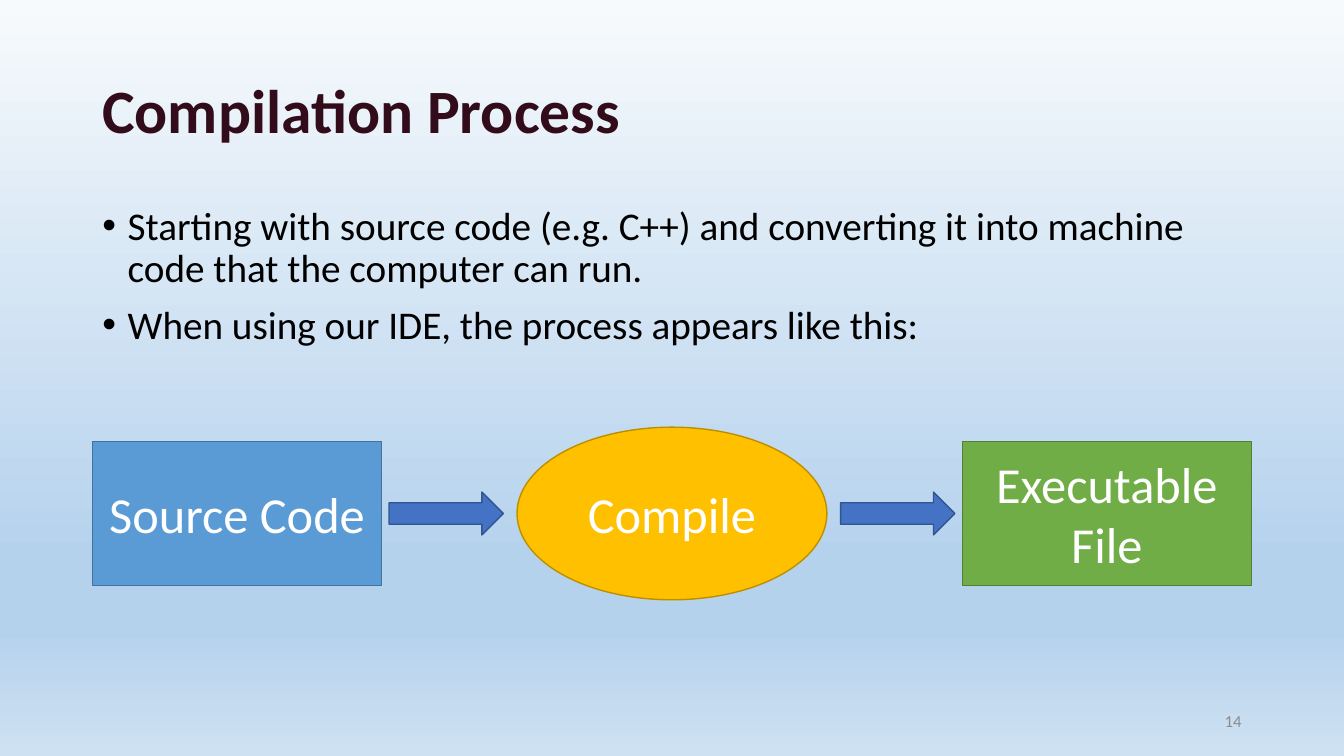
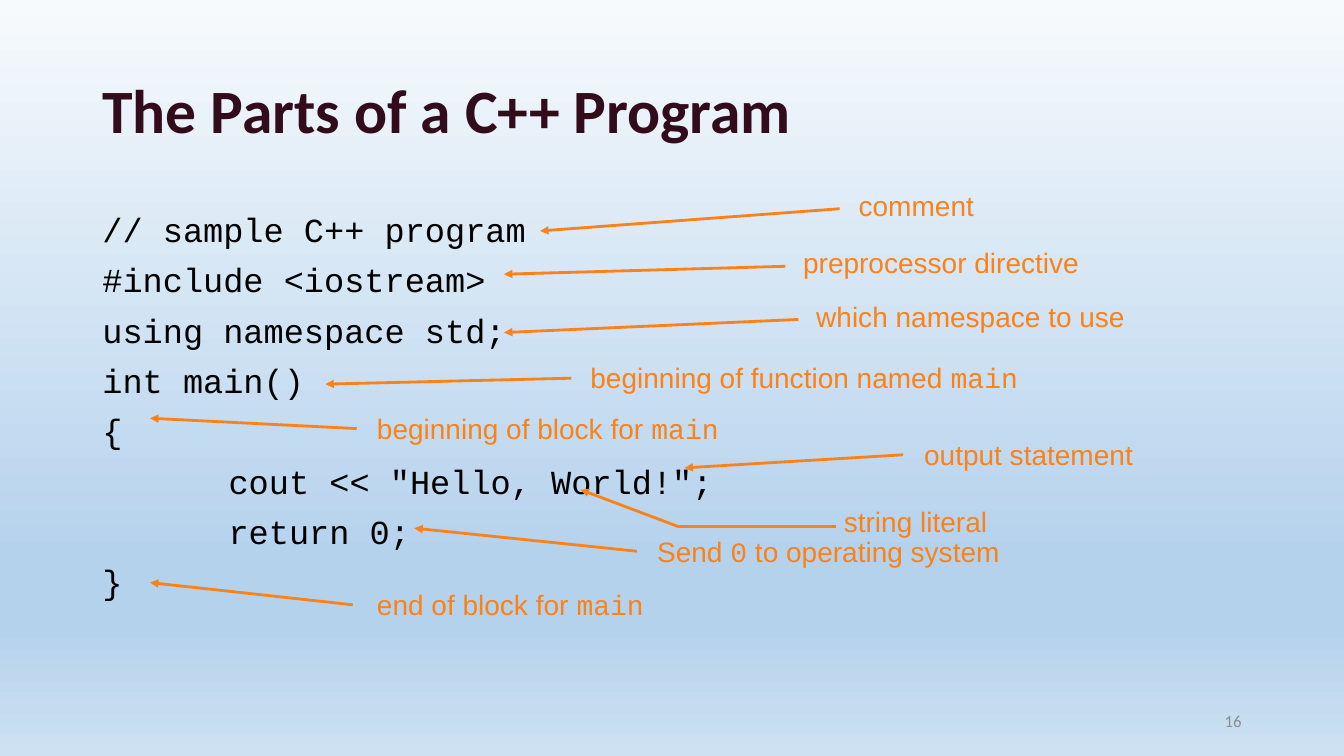
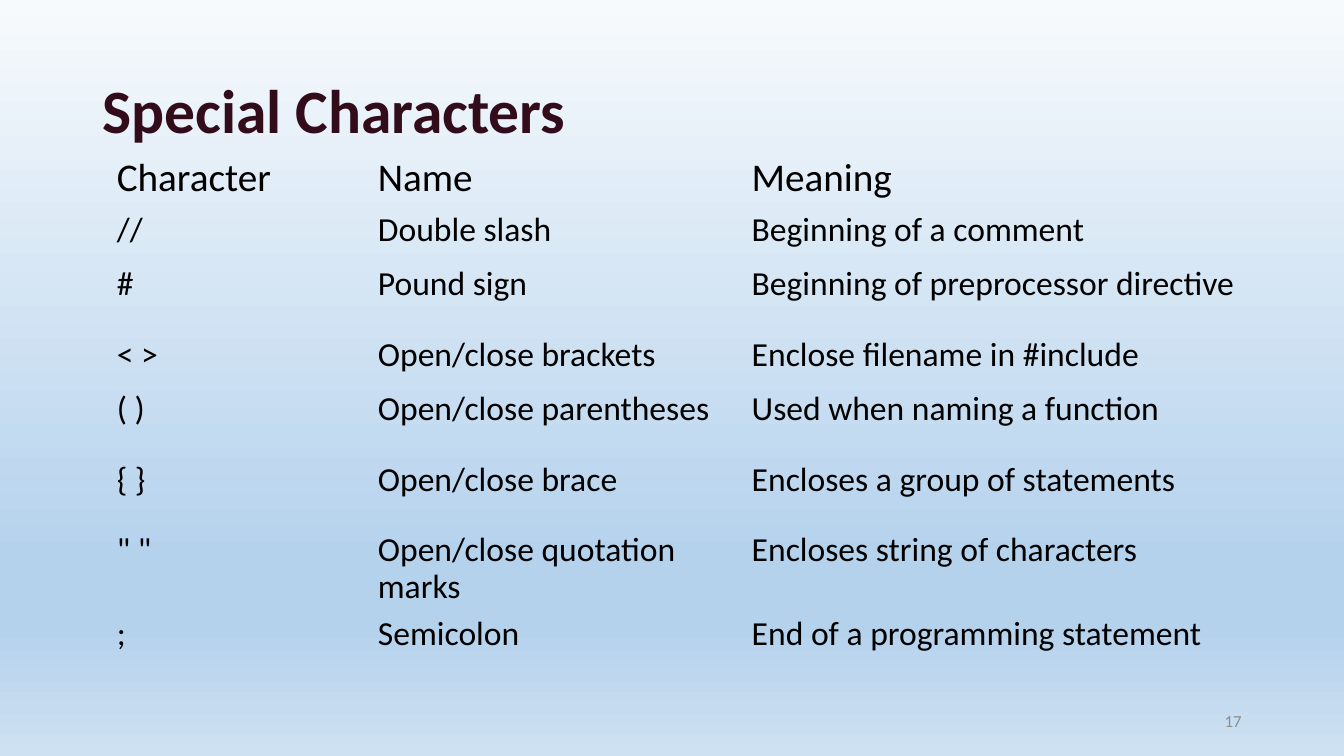
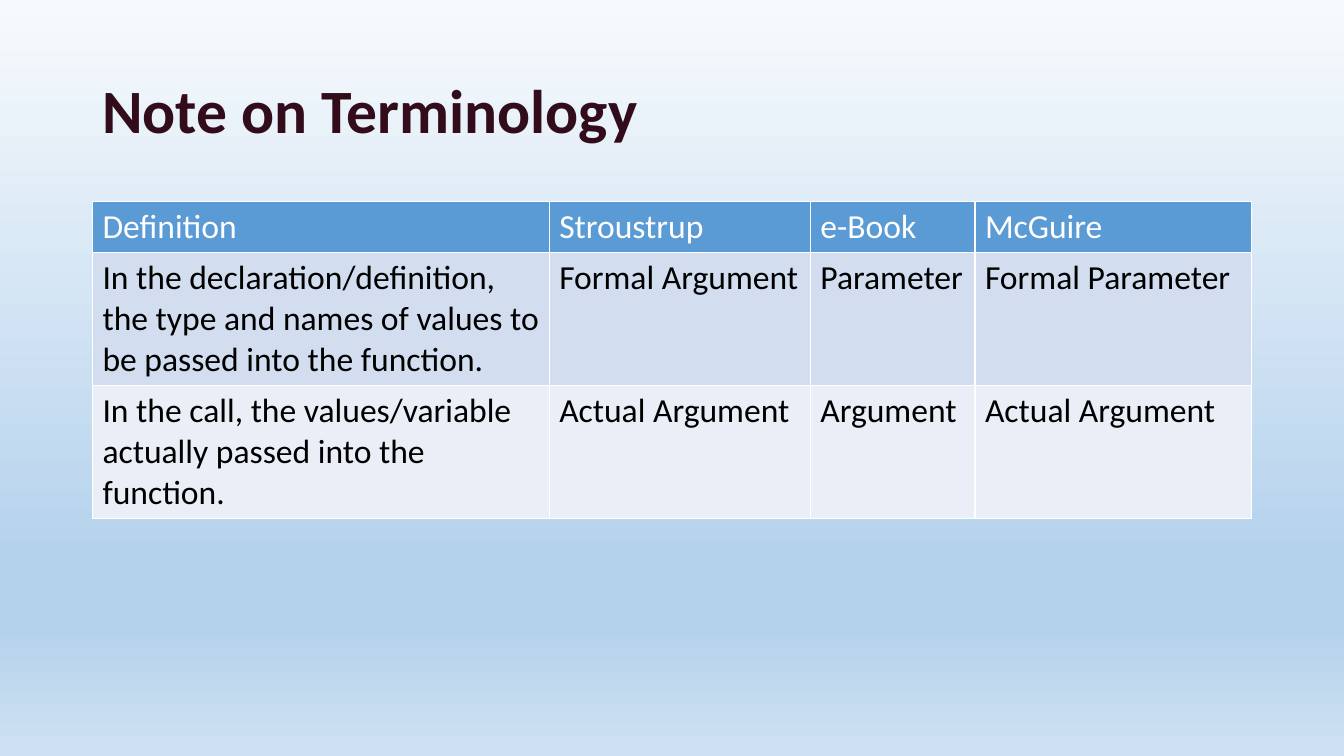
from itertools import pairwise

from lxml import etree
from pptx import Presentation
from pptx import util as u
from pptx.dml.color import RGBColor
from pptx.enum import shapes, text
from pptx.oxml.ns import qn

# ---- Content ----
COMPILATION = {
    "title": "Compilation Process",
    "number": "14",
    "bullets": [
        "Starting with source code (e.g. C++) and converting it into machine code that the computer can run.",
        "When using our IDE, the process appears like this:",
    ],
    # shape, label, colour, distance from slide centre, width, height
    "flow": [
        ("RECTANGLE", "Source Code", "blue", -10.96, 7.29, 3.64),
        ("RIGHT_ARROW", "", "arrow", -5.69, 2.88, 1.08),
        ("OVAL", "Compile", "gold", 0, 7.81, 4.35),
        ("RIGHT_ARROW", "", "arrow", 5.69, 2.88, 1.08),
        ("RECTANGLE", "Executable File", "green", 10.96, 7.29, 3.64),
    ],
}
PROGRAM = {
    "title": "The Parts of a C++ Program",
    "number": "16",
    # code line, indent
    "code": [
        ("// sample C++ program", 0),
        ("#include <iostream>", 0),
        ("using namespace std;", 0),
        ("int main()", 0),
        ("{", 0),
        ('cout << "Hello, World!";', 3.18),
        ("return 0;", 3.18),
        ("}", 0),
    ],
    # label (code between backticks), left, top, width, points from label to code
    "labels": [
        ("comment", 21.39, 4.62, 5.08, [(21.16, 5.26), (13.61, 5.82)]),
        ("preprocessor directive", 19.99, 6.07, 7.95, [(19.79, 6.71), (12.7, 6.91)]),
        ("which namespace to use", 20.32, 7.42, 8.69, [(20.12, 8.05), (12.7, 8.38)]),
        ("beginning of function named `main`", 14.63, 8.97, 11.63, [(14.4, 9.53), (8.2, 9.68)]),
        ("beginning of block for `main`", 9.25, 10.24, 11.63, [(8.99, 10.8), (3.78, 10.54)]),
        ("output statement", 23.04, 10.9, 8, [(22.76, 11.46), (17.25, 11.79)]),
        ("Send `0` to operating system", 16.31, 13.34, 11.63, [(16.05, 13.89), (10.44, 13.31)]),
        ("end of block for `main`", 9.25, 14.68, 7.26, [(8.89, 15.24), (3.78, 14.68)]),
    ],
    "literal": ("string literal", 20.88, 12.83, 4.39, [(21.08, 13.26), (17.07, 13.26), (14.63, 12.34)]),
}
CHARACTERS = {
    "title": "Special Characters",
    "number": "17",
    "rows": [
        ("Character", "Name", "Meaning"),
        ("//", "Double slash", "Beginning of a comment"),
        ("#", "Pound sign", "Beginning of preprocessor directive"),
        ("< >", "Open/close brackets", "Enclose filename in #include"),
        ("( )", "Open/close parentheses", "Used when naming a function"),
        ("{ }", "Open/close brace", "Encloses a group of statements"),
        ('" "', "Open/close quotation marks", "Encloses string of characters"),
        (";", "Semicolon", "End of a programming statement"),
    ],
    "widths": [6.58, 9.42, 12.85],
    "heights": [1.37, 1.37, 1.78, 1.37, 1.78, 1.78, 2.11, 1.78],
}
TERMINOLOGY = {
    "title": "Note on Terminology",
    "rows": [
        ("Definition", "Stroustrup", "e-Book", "McGuire"),
        ("In the declaration/definition, the type and names of values to be passed into the function.",
         "Formal Argument", "Parameter", "Formal Parameter"),
        ("In the call, the values/variable actually passed into the function.",
         "Actual Argument", "Argument", "Actual Argument"),
    ],
    "widths": [11.51, 6.58, 4.15, 6.97],
    "heights": [1.29, 3.35, 3.35],
    "fills": ["blue", "band", "pale"],
}

# ---- Shared look ----
COLOURS = {
    "title": "320C1A", "text": "000000", "white": "FFFFFF", "number": "8C8C8C", "label": "FA8218",
    "blue": "5B9BD5", "blue edge": "43739E", "green": "70AD47", "green edge": "538035",
    "gold": "FFC000", "gold edge": "BD8E00", "arrow": "4472C4", "arrow edge": "325491",
    "band": "D2DEEF", "pale": "EAEFF7",
}
BACKDROP = [(0, "F7FAFD"), (74, "B5D2EC"), (83, "B5D2EC"), (100, "CEE1F2")]
WIDTH, HEIGHT = 33.87, 19.05
LEFT, CONTENT = 2.33, 29.21
FLOW_Y = 12.94
NO_STYLE = "{2D5ABB26-0587-4C30-8999-92F81FD0307C}"

TITLE = {"size": 44, "color": "title", "bold": True}
BULLET = {"size": 28}
CODE = {"size": 24, "name": "Courier New"}
LABEL = {"size": 20, "name": "Arial", "color": "label"}
NUMBER = {"size": 12, "color": "number"}
FLOW = {"size": 36, "color": "white"}
CELL = {"size": 24}
BODY = {"line_spacing": 0.9, "space_before": u.Pt(10)}


def rgb(name):
    return RGBColor.from_string(COLOURS[name])


def cm(*lengths):
    return [u.Cm(length) for length in lengths]


def add_run(paragraph, words, style):
    run = paragraph.add_run()
    run.text = words
    look = {"name": "Calibri", "color": "text", "bold": False} | style
    run.font.color.rgb = rgb(look.pop("color"))
    look["size"] = u.Pt(look["size"])
    for key, value in look.items():
        setattr(run.font, key, value)


def write(paragraph, words, style, **layout):
    """Fill a paragraph; parts between backticks are set as code."""
    for key, value in layout.items():
        setattr(paragraph, key, value)
    for i, part in enumerate(words.split("`")):
        if part:
            add_run(paragraph, part, style | {"name": "Courier New"} if i % 2 else style)


def add_box(slide, left, top, width, height, anchor="TOP"):
    frame = slide.shapes.add_textbox(*cm(left, top, width, height)).text_frame
    frame.word_wrap = True
    frame.vertical_anchor = text.MSO_ANCHOR[anchor]
    return frame


def next_paragraph(frame, index):
    return frame.add_paragraph() if index else frame.paragraphs[0]


def set_indent(paragraph, margin, first=0):
    props = paragraph._p.get_or_add_pPr()
    props.set("marL", str(u.Cm(margin)))
    props.set("indent", str(u.Cm(first)))
    return props


def paint_backdrop(master):
    fill = master.background.fill
    fill.gradient()
    fill.gradient_angle = 270
    stops = master.element.find(".//" + qn("a:gsLst"))
    for stop in list(stops):
        stops.remove(stop)
    for percent, colour in BACKDROP:
        stop = etree.SubElement(stops, qn("a:gs"), pos=str(percent * 1000))
        etree.SubElement(stop, qn("a:srgbClr"), val=colour)


def add_slide(prs, content):
    slide = prs.slides.add_slide(prs.slide_layouts[6])
    title = add_box(slide, LEFT, 1.01, CONTENT, 3.68, "MIDDLE")
    write(title.paragraphs[0], content["title"], TITLE, line_spacing=0.9)
    if "number" in content:
        number = add_box(slide, LEFT + CONTENT - 7.62, 17.65, 7.62, 1.01, "MIDDLE")
        write(number.paragraphs[0], content["number"], NUMBER, alignment=text.PP_ALIGN.RIGHT)
    return slide


def add_pointer(slide, points):
    """Join the points by lines, with an arrowhead at the last one."""
    for start, end in pairwise(points):
        line = slide.shapes.add_connector(shapes.MSO_CONNECTOR.STRAIGHT, *cm(*start, *end))
        line.line.color.rgb = rgb("label")
        line.line.width = u.Pt(2)
        etree.SubElement(line._element.spPr, qn("a:effectLst"))
        if end == points[-1]:
            etree.SubElement(line.line._get_or_add_ln(), qn("a:tailEnd"), type="triangle")


def add_label(slide, words, left, top, width, points, height=1.11, **layout):
    add_pointer(slide, points)
    frame = add_box(slide, left, top, width, height)
    frame.auto_size = text.MSO_AUTO_SIZE.SHAPE_TO_FIT_TEXT
    write(frame.paragraphs[0], words, LABEL, **layout)


def add_borders(cell):
    props = cell._tc.get_or_add_tcPr()
    for side in "LRTB":
        edge = etree.SubElement(props, qn("a:ln" + side), w=str(u.Pt(1)))
        fill = etree.SubElement(edge, qn("a:solidFill"))
        etree.SubElement(fill, qn("a:srgbClr"), val=COLOURS["white"])


def add_grid(slide, content, left, top, header, **layout):
    rows, widths, heights = content["rows"], content["widths"], content["heights"]
    fills = content.get("fills")
    table = slide.shapes.add_table(
        len(rows), len(widths), *cm(left, top, sum(widths), sum(heights))).table
    table._tbl.tblPr.find(qn("a:tableStyleId")).text = NO_STYLE
    for column, width in zip(table.columns, widths):
        column.width = u.Cm(width)
    for r, (row, height) in enumerate(zip(rows, heights)):
        table.rows[r].height = u.Cm(height)
        for c, words in enumerate(row):
            cell = table.cell(r, c)
            if fills:
                add_borders(cell)
                cell.fill.solid()
                cell.fill.fore_color.rgb = rgb(fills[r])
            else:
                cell.fill.background()
            write(cell.text_frame.paragraphs[0], words, CELL if r else header, **layout)


# ---- Slides ----
def build_compilation(prs):
    slide = add_slide(prs, COMPILATION)
    body = add_box(slide, LEFT, 5.08, CONTENT, 5)
    for i, words in enumerate(COMPILATION["bullets"]):
        paragraph = next_paragraph(body, i)
        write(paragraph, words, BULLET, **BODY)
        props = set_indent(paragraph, 0.64, -0.64)
        etree.SubElement(props, qn("a:buFont"), typeface="Arial")
        etree.SubElement(props, qn("a:buChar"), char="•")
    for kind, words, colour, offset, width, height in COMPILATION["flow"]:
        left, top = WIDTH / 2 + offset - width / 2, FLOW_Y - height / 2
        step = slide.shapes.add_shape(shapes.MSO_SHAPE[kind], *cm(left, top, width, height))
        step.shadow.inherit = False
        step.fill.solid()
        step.fill.fore_color.rgb = rgb(colour)
        step.line.color.rgb = rgb(colour + " edge")
        step.line.width = u.Pt(1)
        if words:
            step.text_frame.word_wrap = True
            step.text_frame.vertical_anchor = text.MSO_ANCHOR.MIDDLE
            write(step.text_frame.paragraphs[0], words, FLOW, alignment=text.PP_ALIGN.CENTER)


def build_program(prs):
    slide = add_slide(prs, PROGRAM)
    listing = add_box(slide, LEFT, 5.26, CONTENT, 12.09)
    for i, (words, margin) in enumerate(PROGRAM["code"]):
        paragraph = next_paragraph(listing, i)
        write(paragraph, words, CODE, **BODY)
        set_indent(paragraph, margin)
    for label in PROGRAM["labels"]:
        add_label(slide, *label)
    add_label(slide, *PROGRAM["literal"], height=0.86,
              alignment=text.PP_ALIGN.CENTER, line_spacing=0.7)


def build_characters(prs):
    slide = add_slide(prs, CHARACTERS)
    add_grid(slide, CHARACTERS, 2.69, 3.84, {"size": 28}, line_spacing=0.9)


def build_terminology(prs):
    slide = add_slide(prs, TERMINOLOGY)
    add_grid(slide, TERMINOLOGY, LEFT, 5.08, CELL | {"color": "white"})


def main():
    prs = Presentation()
    prs.slide_width, prs.slide_height = cm(WIDTH, HEIGHT)
    paint_backdrop(prs.slide_master)
    for build in (build_compilation, build_program, build_characters, build_terminology):
        build(prs)
    prs.save("out.pptx")


if __name__ == "__main__":
    main()
